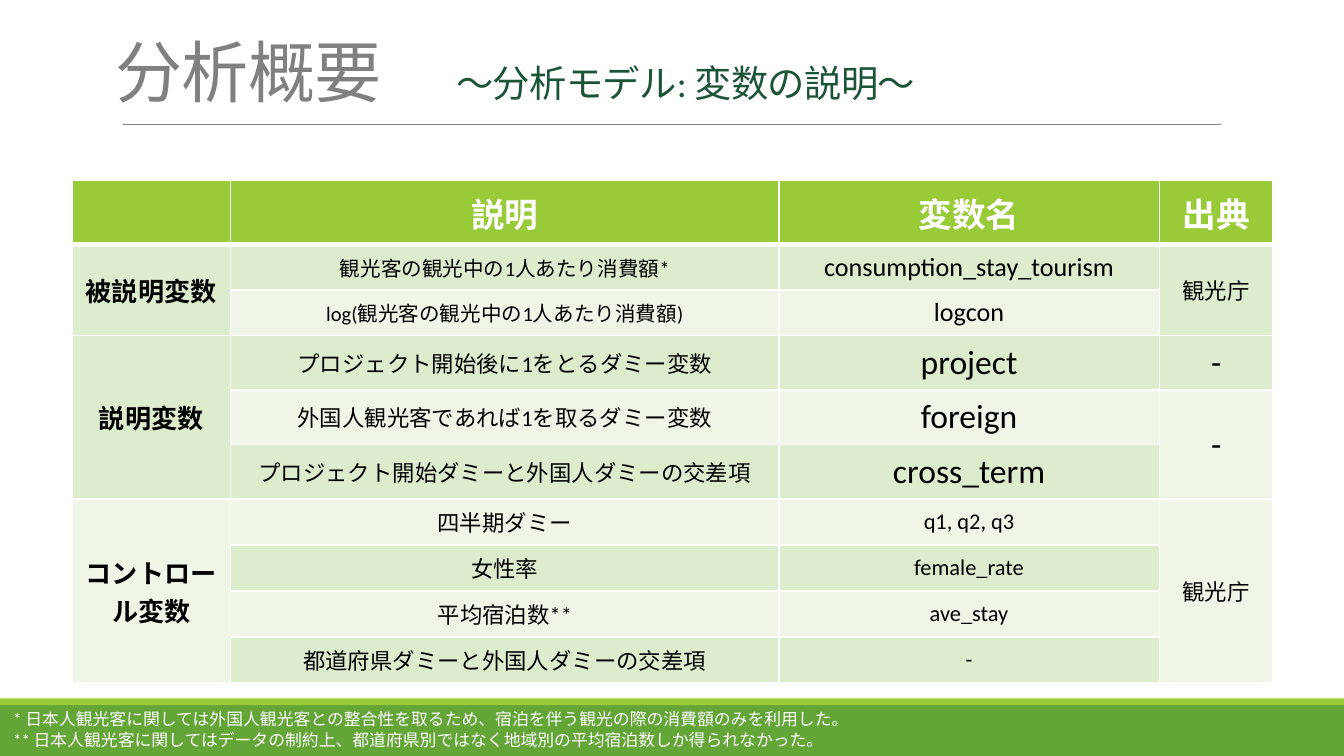
import pptx
import pptx.util
import pptx.dml.color
import pptx.enum.shapes
import pptx.enum.text
import pptx.oxml
import pptx.oxml.ns
import lxml.etree

Cm, Pt = pptx.util.Cm, pptx.util.Pt
Align = pptx.enum.text.PP_ALIGN
Anchor = pptx.enum.text.MSO_ANCHOR
Fit = pptx.enum.text.MSO_AUTO_SIZE

colors = {
    "white": "FFFFFF", "black": "000000", "gray": "808080", "pine": "1C5438",
    "green": "63A537", "lime": "99CB38", "band": "DEECCE", "pale": "EFF6E8",
}


def rgb(name):
    return pptx.dml.color.RGBColor.from_string(colors[name])


def style(para, size, color, bold=False):
    para.font.name = "Calibri"
    para.font.size = Pt(size)
    para.font.bold = bold
    para.font.color.rgb = rgb(color)


deck = pptx.Presentation()
deck.slide_width, deck.slide_height = Cm(25.4), Cm(14.29)
slide = deck.slides.add_slide(deck.slide_layouts[5])

for top, height, color in [(13.33, 0.96, "green"), (13.2, 0.13, "lime")]:
    bar = slide.shapes.add_shape(
        pptx.enum.shapes.MSO_SHAPE.RECTANGLE, 0, Cm(top), deck.slide_width, Cm(height))
    bar.shadow.inherit = False
    bar.fill.solid()
    bar.fill.fore_color.rgb = rgb(color)
    bar.line.fill.background()

rule = slide.shapes.add_connector(
    pptx.enum.shapes.MSO_CONNECTOR.STRAIGHT, Cm(2.32), Cm(2.35), Cm(23.08), Cm(2.35))
rule.line.color.rgb = rgb("gray")
rule.line.width = Pt(0.5)
lxml.etree.SubElement(rule._element.spPr, pptx.oxml.ns.qn("a:effectLst"))

title = slide.shapes.title
title.left, title.top, title.width, title.height = Cm(1.93), Cm(0.66), Cm(23.67), Cm(1.6)
frame = title.text_frame
frame.auto_size = Fit.NONE
frame.vertical_anchor = Anchor.MIDDLE
frame.margin_left = frame.margin_right = frame.margin_top = frame.margin_bottom = Cm(0.25)
head = frame.paragraphs[0]
head.alignment = Align.LEFT
head.line_spacing = 0.85
for text, size, color in [("分析概要　", 36, "gray"), (" 〜分析モデル: 変数の説明〜", 20, "pine")]:
    run = head.add_run()
    run.text = text
    run.font.name = "Calibri"
    run.font.size = Pt(size)
    run.font.color.rgb = rgb(color)
    run._r.get_or_add_rPr().set("spc", "-40")

rows = [
    (1.22, "説明", 18, "変数名", 18),
    (0.82, "観光客の観光中の1人あたり消費額*", 11, "consumption_stay_tourism", 14),
    (0.82, "log(観光客の観光中の1人あたり消費額)", 11, "logcon", 14),
    (0.98, "プロジェクト開始後に1をとるダミー変数", 12, "project", 18),
    (0.82, "外国人観光客であれば1を取るダミー変数", 12, "foreign", 18),
    (0.82, "プロジェクト開始ダミーと外国人ダミーの交差項", 12, "cross_term", 18),
    (0.74, "四半期ダミー", 12, "q1, q2, q3", 12),
    (0.74, "女性率", 12, "female_rate", 12),
    (0.74, "平均宿泊数**", 12, "ave_stay", 12),
    (0.74, "都道府県ダミーと外国人ダミーの交差項", 12, "-", 12),
]
groups = [
    (0, 1, 2, "被説明変数", 14), (0, 3, 5, "説明変数", 14), (0, 6, 9, "コントロール変数", 14),
    (3, 0, 0, "出典", 18), (3, 1, 2, "観光庁", 12), (3, 3, 3, "-", 18),
    (3, 4, 5, "-", 18), (3, 6, 9, "観光庁", 12),
]
words = {}
for r, (height, note, small, name, large) in enumerate(rows):
    words[r, 1] = note, small
    words[r, 2] = name, large
for c, first, last, text, size in groups:
    words[first, c] = text, size

table = slide.shapes.add_table(
    len(rows), 4, Cm(1.36), Cm(3.41), Cm(22.7), Cm(8.44)).table
table.horz_banding = False
for c, width in enumerate([3, 10.36, 7.19, 2.15]):
    table.columns[c].width = Cm(width)
for r, row in enumerate(rows):
    table.rows[r].height = Cm(row[0])
    for c in range(4):
        cell = table.cell(r, c)
        text, size = words.get((r, c), ("", 9))
        cell.text = text
        cell.vertical_anchor = Anchor.MIDDLE
        para = cell.text_frame.paragraphs[0]
        para.alignment = Align.CENTER
        style(para, size, "black" if r else "white", r == 0 or c == 0)
        for side in "LRTB":
            thick = (side == "B" and r == 0) or (side == "T" and r == 1)
            edge = lxml.etree.SubElement(
                cell._tc.get_or_add_tcPr(), pptx.oxml.ns.qn("a:ln" + side),
                w=str(Pt(3 if thick else 1)))
            fill = lxml.etree.SubElement(edge, pptx.oxml.ns.qn("a:solidFill"))
            lxml.etree.SubElement(fill, pptx.oxml.ns.qn("a:srgbClr"), val=colors["white"])
        cell.fill.solid()
        cell.fill.fore_color.rgb = rgb("lime" if r == 0 else "band" if r % 2 else "pale")
for c, first, last, text, size in groups:
    if last > first:
        table.cell(first, c).merge(table.cell(last, c))

notes = [
    "* 日本人観光客に関しては外国人観光客との整合性を取るため、宿泊を伴う観光の際の消費額のみを利用した。",
    "** 日本人観光客に関してはデータの制約上、都道府県別ではなく地域別の平均宿泊数しか得られなかった。",
]
foot = slide.shapes.add_textbox(0, Cm(13.28), Cm(20.3), Cm(1.02)).text_frame
foot.word_wrap = True
foot.auto_size = Fit.SHAPE_TO_FIT_TEXT
foot.text = "\n".join(notes)
for para in foot.paragraphs:
    style(para, 9, "white")

deck.save("out.pptx")
